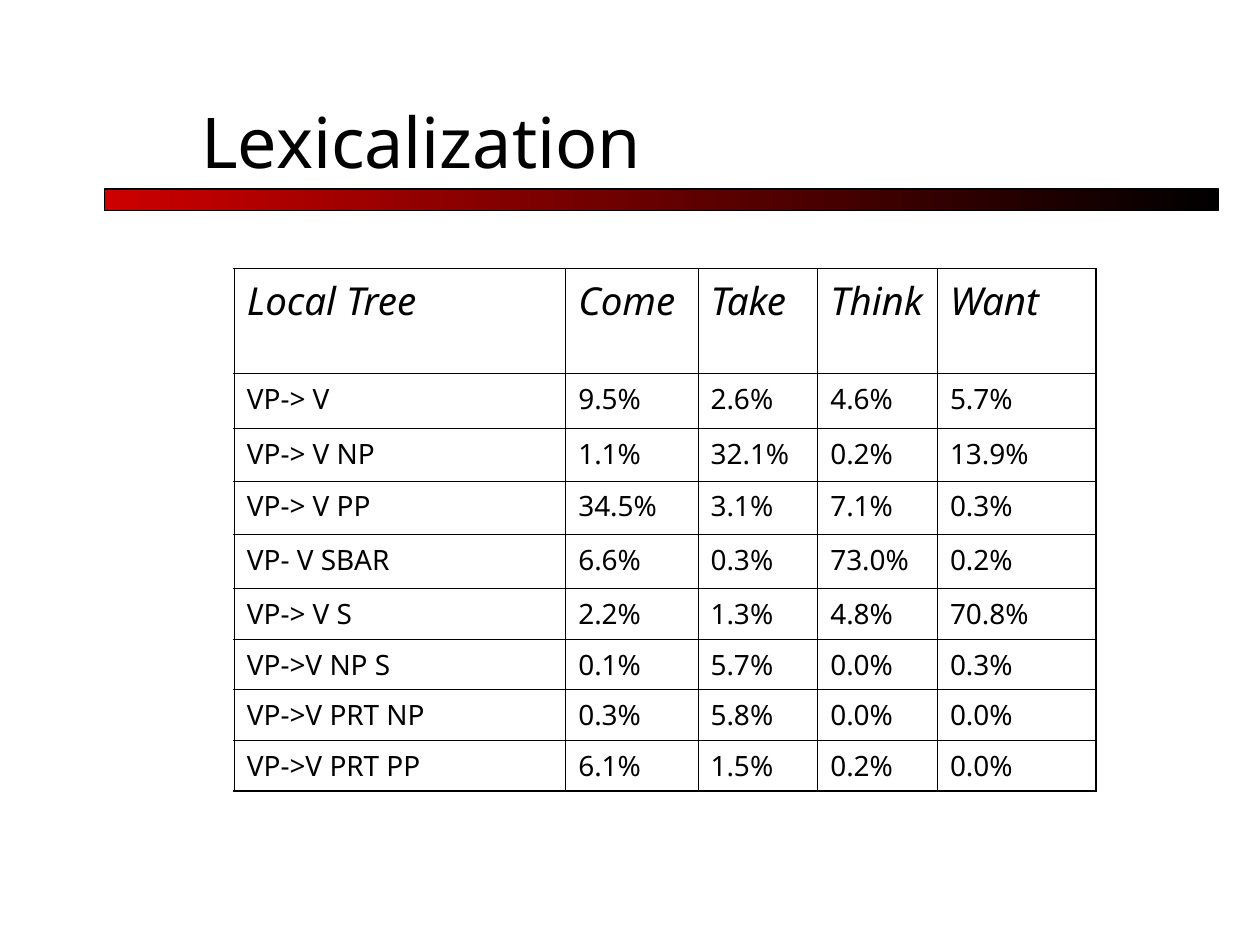
from dataclasses import dataclass
from typing import Any

from lxml.etree import SubElement
from pptx import Presentation
from pptx.dml.color import RGBColor as Color
from pptx.enum.shapes import MSO_SHAPE as Shape
from pptx.enum.text import MSO_ANCHOR as Anchor
from pptx.oxml.ns import qn
from pptx.util import Inches, Pt

COLORS = {"ink": "000000", "accent": "CC0000"}
HEADINGS = ["Local Tree", "Come", "Take", "Think", "Want"]
RATES = [
    ["VP-> V", "9.5%", "2.6%", "4.6%", "5.7%"],
    ["VP-> V NP", "1.1%", "32.1%", "0.2%", "13.9%"],
    ["VP-> V PP", "34.5%", "3.1%", "7.1%", "0.3%"],
    ["VP- V SBAR", "6.6%", "0.3%", "73.0%", "0.2%"],
    ["VP-> V S", "2.2%", "1.3%", "4.8%", "70.8%"],
    ["VP->V NP S", "0.1%", "5.7%", "0.0%", "0.3%"],
    ["VP->V PRT NP", "0.3%", "5.8%", "0.0%", "0.0%"],
    ["VP->V PRT PP", "6.1%", "1.5%", "0.2%", "0.0%"],
]
COLUMN_WIDTHS = [26.3, 10.5, 9.5, 9.5, 12.6]
ROW_HEIGHTS = [11.1, 5.8, 5.6, 5.7, 5.7] + [5.35] * 4


@dataclass
class SlideBuilder:
    deck: Any
    page: Any
    font: str = "Noto Sans"
    outer_line: float = 1.08
    inner_line: float = 0.45

    def across(self, percent):
        return int(self.deck.slide_width * percent / 100)

    def down(self, percent):
        return int(self.deck.slide_height * percent / 100)

    def area(self, left, top, width, height):
        return self.across(left), self.down(top), self.across(width), self.down(height)

    def set_text(self, frame, text, size, italic=False, before=0):
        para = frame.paragraphs[0]
        para.text = text
        para.space_before = Pt(before)
        para.font.name = self.font
        para.font.size = Pt(size)
        para.font.italic = italic
        para.font.color.rgb = Color.from_string(COLORS["ink"])

    def title(self, text, *place):
        frame = self.page.shapes.add_textbox(*self.area(*place)).text_frame
        frame.word_wrap = True
        frame.vertical_anchor = Anchor.BOTTOM
        self.set_text(frame, text, 40)

    def gradient_bar(self, *place):
        bar = self.page.shapes.add_shape(Shape.RECTANGLE, *self.area(*place))
        bar.shadow.inherit = False
        bar.fill.gradient()
        bar.fill.gradient_angle = 0
        for stop, name in zip(bar.fill.gradient_stops, ("accent", "ink")):
            stop.color.rgb = Color.from_string(COLORS[name])
        bar.line.color.rgb = Color.from_string(COLORS["ink"])
        bar.line.width = Pt(0.75)

    def borders(self, cell, outer_sides):
        properties = cell._tc.get_or_add_tcPr()
        for index, side in enumerate("LRTB"):
            width = self.outer_line if side in outer_sides else self.inner_line
            line = SubElement(properties, qn(f"a:ln{side}"), w=str(int(Pt(width))))
            fill = SubElement(line, qn("a:solidFill"))
            SubElement(fill, qn("a:srgbClr"), val=COLORS["ink"])
            properties.insert(index, line)

    def table(self, left, top, widths, heights, rows):
        place = self.area(left, top, sum(widths), sum(heights))
        grid = self.page.shapes.add_table(len(rows), len(widths), *place).table
        grid.first_row = grid.horz_banding = False
        for column, width in zip(grid.columns, widths):
            column.width = self.across(width)
        for row, height in zip(grid.rows, heights):
            row.height = self.down(height)
        for r, texts in enumerate(rows):
            size, before = (22, 5.5) if r == 0 else (16, 4)
            for c, text in enumerate(texts):
                cell = grid.cell(r, c)
                cell.fill.background()
                self.set_text(cell.text_frame, text, size, r == 0, before)
                edges = {"L": c == 0, "R": c == len(widths) - 1,
                         "T": r == 0, "B": r == len(rows) - 1}
                self.borders(cell, [side for side, outer in edges.items() if outer])


def main():
    deck = Presentation()
    deck.slide_width, deck.slide_height = Inches(10), Inches(7.5)
    builder = SlideBuilder(deck, deck.slides.add_slide(deck.slide_layouts[6]))
    builder.gradient_bar(8.3, 20, 88.4, 2.3)
    builder.title("Lexicalization", 15, 5.6, 85, 14.4)
    builder.table(18.6, 28.4, COLUMN_WIDTHS, ROW_HEIGHTS, [HEADINGS] + RATES)
    deck.save("out.pptx")


if __name__ == "__main__":
    main()
